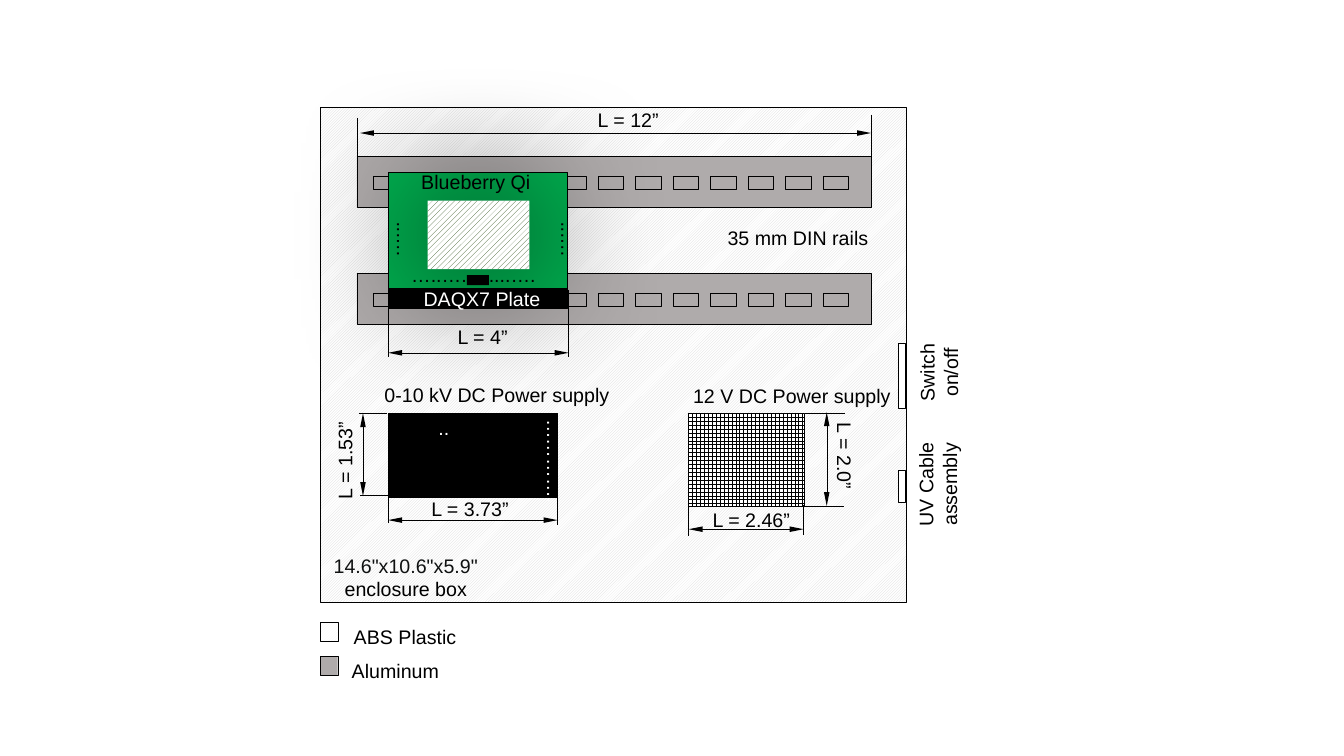
"""Draw the enclosure layout with its rails, board, power supplies and dimensions."""
from dataclasses import dataclass

from lxml import etree
from pptx import Presentation, util as u
from pptx.dml import color
from pptx.enum import dml, shapes, text
from pptx.oxml import ns


@dataclass(frozen=True)
class Theme:
    font: str = "Arial"
    size: int = 14
    hairline: float = 0.25
    ink: str = "000000"
    soft_ink: str = "0F1111"
    paper: str = "FFFFFF"
    aluminum: str = "AFABAB"
    board: str = "00B050"
    plastic: tuple = (dml.MSO_PATTERN.LIGHT_UPWARD_DIAGONAL, "F2F2F2")
    enclosure: tuple = (dml.MSO_PATTERN.LIGHT_UPWARD_DIAGONAL, "D9D9D9")
    grid: tuple = (dml.MSO_PATTERN.LARGE_GRID, "000000")
    chip: tuple = (dml.MSO_PATTERN.WIDE_UPWARD_DIAGONAL, "385723")


THEME = Theme()
LEFT, CENTER = text.PP_ALIGN.LEFT, text.PP_ALIGN.CENTER


def rgb(value):
    return color.RGBColor.from_string(value)


def add_block(slide, left, top, width, height, fill=None, outlined=True):
    block = slide.shapes.add_shape(
        shapes.MSO_SHAPE.RECTANGLE, *map(u.Inches, (left, top, width, height)))
    block.shadow.inherit = False
    if fill is None:
        block.fill.background()
    elif isinstance(fill, tuple):
        block.fill.patterned()
        block.fill.pattern, foreground = fill
        block.fill.fore_color.rgb = rgb(foreground)
        block.fill.back_color.rgb = rgb(THEME.paper)
    else:
        block.fill.solid()
        block.fill.fore_color.rgb = rgb(fill)
    if outlined:
        block.line.color.rgb = rgb(THEME.ink)
        block.line.width = u.Pt(THEME.hairline)
    else:
        block.line.fill.background()
    return block


def add_shadow(block, blur, distance):
    effects = block._element.spPr.find(ns.qn("a:effectLst"))
    shadow = etree.SubElement(
        effects, ns.qn("a:outerShdw"), blurRad=str(u.Pt(blur)),
        dist=str(u.Pt(distance)), dir="5400000", algn="ctr", rotWithShape="0")
    etree.SubElement(shadow, ns.qn("a:srgbClr"), val=THEME.ink)


def add_label(slide, left, top, width, *lines, height=0.34, align=LEFT,
              turn=0, ink=THEME.ink, anchor=text.MSO_ANCHOR.TOP):
    label = slide.shapes.add_textbox(*map(u.Inches, (left, top, width, height)))
    label.rotation = turn
    frame = label.text_frame
    frame.word_wrap = True
    frame.auto_size = text.MSO_AUTO_SIZE.SHAPE_TO_FIT_TEXT
    frame.vertical_anchor = anchor
    for index, line in enumerate(lines):
        wording, line_ink = line if isinstance(line, tuple) else (line, ink)
        paragraph = frame.add_paragraph() if index else frame.paragraphs[0]
        paragraph.alignment = align
        run = paragraph.add_run()
        run.text = wording
        run.font.name = THEME.font
        run.font.size = u.Pt(THEME.size)
        run.font.color.rgb = rgb(line_ink)


def add_line(slide, x1, y1, x2, y2, arrows=False):
    line = slide.shapes.add_connector(
        shapes.MSO_CONNECTOR.STRAIGHT, *map(u.Inches, (x1, y1, x2, y2)))
    line.line.color.rgb = rgb(THEME.ink)
    line.line.width = u.Pt(THEME.hairline)
    if arrows:
        for end in ("a:headEnd", "a:tailEnd"):
            etree.SubElement(line.line._get_or_add_ln(), ns.qn(end),
                             type="triangle", w="sm", len="lg")
    etree.SubElement(line._element.spPr, ns.qn("a:effectLst"))


def add_dimension(slide, measure, *extensions):
    add_line(slide, *measure, arrows=True)
    for extension in extensions:
        add_line(slide, *extension)


def add_rail(slide, top):
    add_block(slide, 3.54, top, 5.1, 0.51, THEME.aluminum)
    for position in (0, *range(5, 13)):
        width = 0.25 if position else 0.15
        add_block(slide, 3.7 + 0.372 * position, top + 0.195, width, 0.13)


def add_legend(slide):
    add_block(slide, 3.18, 6.17, 0.17, 0.19, THEME.plastic)
    add_block(slide, 3.18, 6.51, 0.17, 0.19, THEME.aluminum)
    add_label(slide, 3.41, 6.15, 2.01, "ABS Plastic")
    add_label(slide, 3.39, 6.49, 1.81, "Aluminum")


def add_enclosure(slide):
    add_block(slide, 3.18, 1.06, 5.81, 4.91, THEME.enclosure)
    add_label(slide, 3.02, 5.44, 2.01, ('14.6"x10.6"x5.9"', THEME.soft_ink),
              "enclosure box", height=0.57, align=CENTER,
              anchor=text.MSO_ANCHOR.MIDDLE)
    for top, height in ((3.4, 0.65), (4.66, 0.32)):
        add_block(slide, 8.91, top, 0.07, height, THEME.paper)
    add_label(slide, 8.35, 3.41, 1.92, "Switch", "on/off",
              height=0.57, align=CENTER, turn=270)
    add_label(slide, 8.58, 4.52, 1.44, "UV Cable assembly",
              height=0.57, align=CENTER, turn=270)


def add_board(slide):
    add_block(slide, 3.85, 2.84, 1.78, 0.22, THEME.ink)
    add_shadow(add_block(slide, 3.85, 1.71, 1.78, 1.15, THEME.board), 0, 4)
    add_shadow(add_block(slide, 4.24, 1.99, 1.01, 0.68, THEME.chip, False), 100, 0)
    add_label(slide, 3.9, 1.64, 1.64, "Blueberry Qi", align=CENTER)
    add_label(slide, 3.72, 2.8, 2.12, "DAQX7 Plate", align=CENTER, ink=THEME.paper)
    add_label(slide, 3.98, 2.56, 0.9, "…..….")
    add_label(slide, 4.75, 2.56, 0.9, "....….")
    for left in (3.33, 4.96):
        add_label(slide, left, 1.93, 1.11, "…...", turn=270)
    add_block(slide, 4.63, 2.73, 0.22, 0.1, THEME.ink, False)


def add_supplies(slide):
    add_block(slide, 3.85, 4.1, 1.68, 0.83, THEME.ink)
    add_label(slide, 4.95, 4.44, 1.1, "………….", turn=90, ink=THEME.paper)
    add_label(slide, 4.25, 4.08, 1.1, "..", ink=THEME.paper)
    add_label(slide, 3.63, 3.75, 2.6, "0-10 kV DC Power supply", align=CENTER)
    add_block(slide, 6.83, 4.1, 1.15, 0.92, THEME.grid)
    add_label(slide, 6.56, 3.76, 2.59, "12 V DC Power supply", align=CENTER)


def add_dimensions(slide):
    add_dimension(slide, (3.57, 1.32, 8.64, 1.32),
                  (3.54, 1.17, 3.54, 1.83), (8.64, 1.14, 8.64, 1.81))
    add_dimension(slide, (3.85, 3.5, 5.64, 3.5),
                  (3.85, 2.88, 3.85, 3.54), (5.64, 2.88, 5.64, 3.54))
    add_dimension(slide, (3.85, 5.16, 5.53, 5.16),
                  (3.85, 4.88, 3.85, 5.19), (5.53, 4.9, 5.53, 5.21))
    add_dimension(slide, (3.6, 4.92, 3.6, 4.1),
                  (3.85, 4.91, 3.57, 4.91), (3.84, 4.1, 3.56, 4.1))
    add_dimension(slide, (6.83, 5.25, 7.97, 5.25),
                  (6.83, 5.02, 6.83, 5.32), (7.97, 5.01, 7.97, 5.31))
    add_dimension(slide, (8.2, 5.02, 8.2, 4.09),
                  (7.97, 5.02, 8.37, 5.02), (7.98, 4.1, 8.38, 4.1))
    for left, top, width, length, turn in (
            (5.83, 1.02, 1.58, "12", 0), (4.44, 3.17, 1.07, "4", 0),
            (4.18, 4.88, 1.24, "3.73", 0), (2.81, 4.27, 1.22, "1.53", 270),
            (6.97, 4.99, 1.64, "2.46", 0), (7.93, 4.37, 0.89, "2.0", 90)):
        add_label(slide, left, top, width, f"L = {length}”", turn=turn)


def main():
    deck = Presentation()
    deck.slide_width, deck.slide_height = u.Inches(13.33), u.Inches(7.5)
    slide = deck.slides.add_slide(deck.slide_layouts[6])
    add_legend(slide)
    add_enclosure(slide)
    for top in (1.55, 2.71):
        add_rail(slide, top)
    add_label(slide, 7.03, 2.19, 1.77, "35 mm DIN rails", align=CENTER)
    add_supplies(slide)
    add_board(slide)
    add_dimensions(slide)
    deck.save("out.pptx")


if __name__ == "__main__":
    main()
